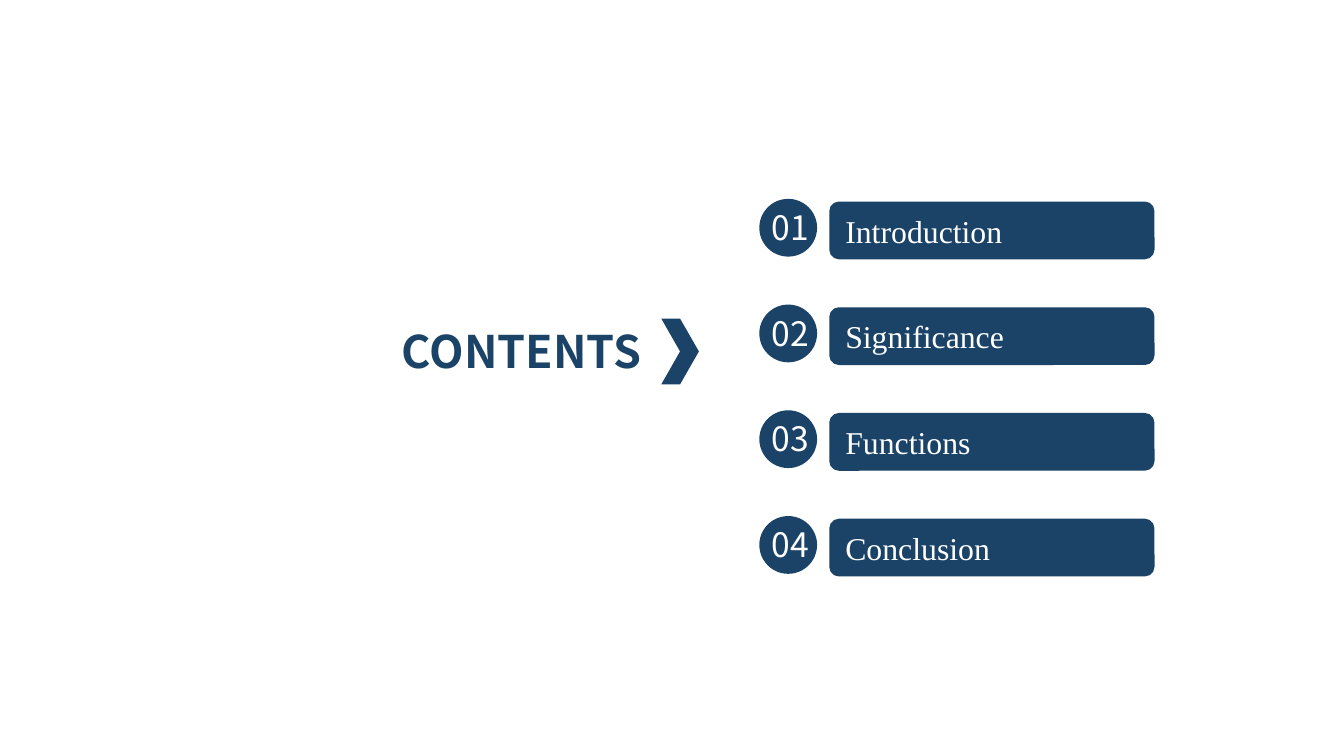
from pptx import Presentation
from pptx.dml.color import RGBColor
from pptx.enum.shapes import MSO_SHAPE
from pptx.enum.text import MSO_ANCHOR, MSO_AUTO_SIZE, PP_ALIGN
from pptx.util import Inches, Pt

COLORS = {"navy": "1B4367", "white": "FFFFFF"}
HEADING_FONT = "Noto Sans CJK SC"
BODY_FONT = "Times New Roman"
CHAPTERS = ["Introduction", "Significance", "Functions", "Conclusion"]
SLIDE_WIDTH = 10
FIRST_TOP = 1.48
LAST_TOP = 3.84
ROW_STEP = (LAST_TOP - FIRST_TOP) / (len(CHAPTERS) - 1)
ROW_HEIGHT = 0.43


def box(left, top, width, height):
    return [Inches(value) for value in (left, top, width, height)]


def write(frame, text, font, size, color, align=PP_ALIGN.LEFT, bold=False):
    frame.word_wrap = True
    frame.auto_size = MSO_AUTO_SIZE.NONE
    frame.vertical_anchor = MSO_ANCHOR.MIDDLE
    paragraph = frame.paragraphs[0]
    paragraph.alignment = align
    paragraph.line_spacing = 1.0
    paragraph.space_before = Pt(0)
    run = paragraph.add_run()
    run.text = text
    run.font.name = font
    run.font.size = Pt(size)
    run.font.bold = bold
    run.font.color.rgb = RGBColor.from_string(COLORS[color])


def add_solid(shapes, preset, bounds):
    solid = shapes.add_shape(preset, *box(*bounds))
    solid.shadow.inherit = False
    solid.fill.solid()
    solid.fill.fore_color.rgb = RGBColor.from_string(COLORS["navy"])
    solid.line.fill.background()
    return solid


def add_heading(slide):
    heading = slide.shapes.title
    heading.left, heading.top, heading.width, heading.height = box(2.89, 2.36, 2.31, 0.5)
    write(heading.text_frame, "CONTENTS", HEADING_FONT, 24, "navy", bold=True)


def add_chapter(slide, number, chapter, top):
    # Bar with the chapter name
    bar = add_solid(slide.shapes, MSO_SHAPE.ROUNDED_RECTANGLE,
                    (6.17, top + 0.02, 2.42, ROW_HEIGHT))
    bar.adjustments[0] = 0.167
    write(bar.text_frame, chapter, BODY_FONT, 17, "white")

    # Numbered disc
    badge = slide.shapes.add_group_shape()
    add_solid(badge.shapes, MSO_SHAPE.OVAL, (5.65, top, ROW_HEIGHT, ROW_HEIGHT))
    label = badge.shapes.add_textbox(*box(5.62, top + 0.01, 0.52, 0.4))
    write(label.text_frame, f"{number:02d}", HEADING_FONT, 18, "white", PP_ALIGN.CENTER)


def main():
    presentation = Presentation()
    presentation.slide_width = Inches(SLIDE_WIDTH)
    presentation.slide_height = Inches(SLIDE_WIDTH * 9 / 16)
    slide = presentation.slides.add_slide(presentation.slide_layouts[5])

    # Heading and the chevron pointing to the list
    add_heading(slide)
    add_solid(slide.shapes, MSO_SHAPE.CHEVRON, (4.92, 2.37, 0.28, 0.49))

    # Chapter list
    for index, chapter in enumerate(CHAPTERS):
        add_chapter(slide, index + 1, chapter, FIRST_TOP + index * ROW_STEP)

    presentation.save("out.pptx")


if __name__ == "__main__":
    main()
